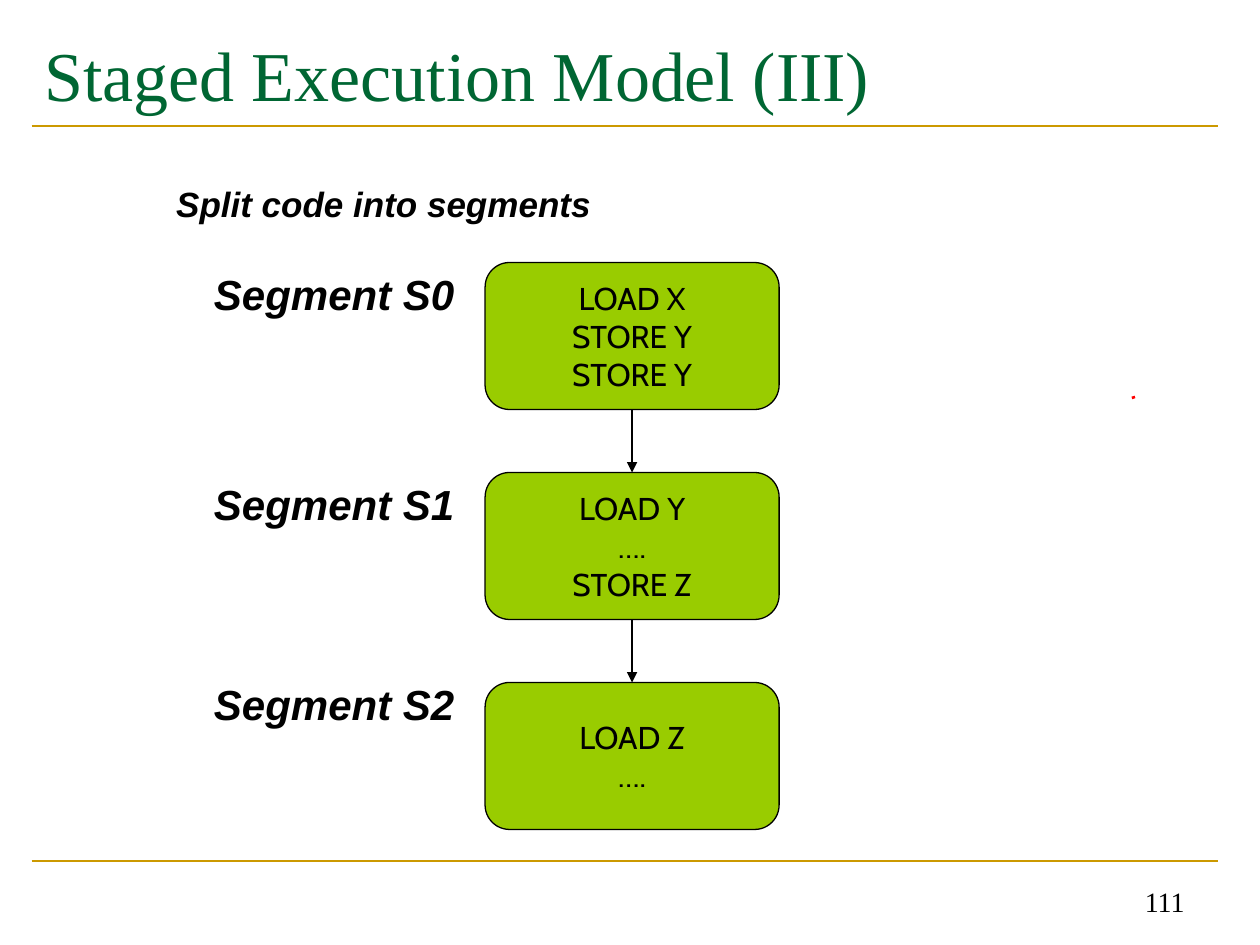
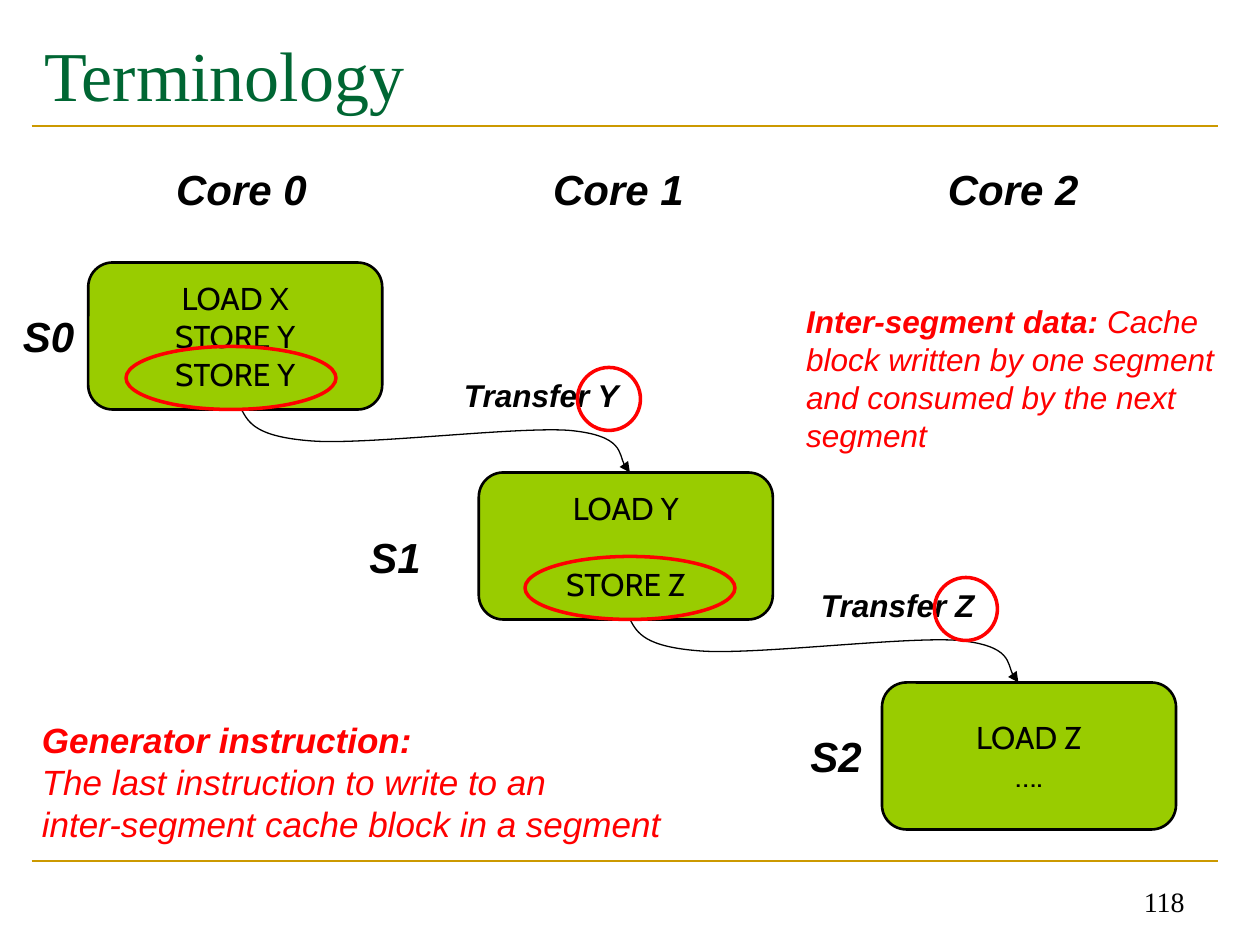
import dataclasses

import lxml.etree
import pptx
import pptx.dml.color
import pptx.enum.shapes
import pptx.enum.text
import pptx.oxml.ns
import pptx.util

ALIGN = pptx.enum.text.PP_ALIGN
ANCHOR = pptx.enum.text.MSO_ANCHOR
SHAPE = pptx.enum.shapes.MSO_SHAPE
qn = pptx.oxml.ns.qn


@dataclasses.dataclass(frozen=True)
class Theme:
    # Colours
    title: str = "006633"
    rule: str = "CC9900"
    segment: str = "99CC00"
    ink: str = "000000"
    accent: str = "FF0000"
    # Fonts
    serif: str = "Times New Roman"
    sans: str = "Arial"
    code: str = "Cabin"
    # Type sizes in points
    title_size: int = 40
    label_size: int = 24
    lead_size: int = 20
    body_size: int = 18
    number_size: int = 16
    # Line widths in points
    thin: float = 0.75
    medium: float = 1.5
    ring: float = 2


def px(length):
    """120 px to the inch."""
    return pptx.util.Emu(length * 7620)


def rgb(colour):
    return pptx.dml.color.RGBColor.from_string(colour)


class Deck:
    def __init__(self, theme):
        self.theme = theme
        self.file = pptx.Presentation()
        self.file.slide_width, self.file.slide_height = px(1200), px(900)
        self.slide = None

    def add_slide(self, title, number):
        """Start a slide with its title, the two rules and the number."""
        theme = self.theme
        self.slide = self.file.slides.add_slide(self.file.slide_layouts[5])
        heading = self.slide.shapes.title
        heading.left, heading.top, heading.width, heading.height = map(px, (30, 20, 1130, 100))
        heading.text_frame.auto_size = pptx.enum.text.MSO_AUTO_SIZE.NONE
        heading.text_frame.vertical_anchor = ANCHOR.MIDDLE
        self.fill_text(heading.text_frame, [title], theme.serif, theme.title_size, theme.title)
        for y in (820, 120):
            rule = self.line((30, y), (1160, y))
            self.stroke(rule, theme.rule, theme.medium)
        self.text(number, (860, 820, 280, 60), theme.number_size, font=theme.serif,
                  strong=False, align=ALIGN.RIGHT, anchor=ANCHOR.BOTTOM)

    def fill_text(self, frame, paragraphs, font, size, colour, align=ALIGN.LEFT,
                  bold=False, italic=False):
        """Fill a frame; a paragraph is a string or a list of (text, bold) runs."""
        for index, content in enumerate(paragraphs):
            paragraph = frame.paragraphs[0] if index == 0 else frame.add_paragraph()
            paragraph.alignment = align
            style = paragraph.font
            style.name, style.size, style.italic = font, pptx.util.Pt(size), italic
            style.color.rgb = rgb(colour)
            if isinstance(content, str):
                style.bold = bold
                paragraph.add_run().text = content
                continue
            for words, is_bold in content:
                run = paragraph.add_run()
                run.text, run.font.bold = words, is_bold

    def text(self, content, box, size, colour=None, font=None, strong=True,
             align=ALIGN.LEFT, anchor=ANCHOR.TOP):
        """Add a wrapping text box; strong means bold italic."""
        frame = self.slide.shapes.add_textbox(*map(px, box)).text_frame
        frame.word_wrap = True
        frame.vertical_anchor = anchor
        self.fill_text(frame, [content] if isinstance(content, str) else content,
                       font or self.theme.sans, size, colour or self.theme.ink,
                       align, strong, strong)

    def stroke(self, item, colour, width, arrow=False):
        item.line.color.rgb = rgb(colour)
        item.line.width = pptx.util.Pt(width)
        if arrow:
            outline = item._element.spPr.find(qn("a:ln"))
            lxml.etree.SubElement(outline, qn("a:tailEnd"), type="triangle")

    def line(self, start, end):
        connector = self.slide.shapes.add_connector(
            pptx.enum.shapes.MSO_CONNECTOR.STRAIGHT, *map(px, start + end))
        lxml.etree.SubElement(connector._element.spPr, qn("a:effectLst"))
        return connector

    def segment(self, code, left, top, border):
        """Add a rounded box holding the instructions of one segment."""
        theme = self.theme
        box = self.slide.shapes.add_shape(
            SHAPE.ROUNDED_RECTANGLE, *map(px, (left, top, 280, 140)))
        box.shadow.inherit = False
        box.fill.solid()
        box.fill.fore_color.rgb = rgb(theme.segment)
        self.stroke(box, theme.ink, border)
        box.text_frame.word_wrap = False
        box.text_frame.vertical_anchor = ANCHOR.MIDDLE
        self.fill_text(box.text_frame, code, theme.code, theme.body_size, theme.ink,
                       ALIGN.CENTER)
        return box

    def arrow(self, above, below):
        """Join the bottom of one box to the top of the next."""
        connector = self.line((0, 0), (0, 0))
        connector.begin_connect(above, 2)
        connector.end_connect(below, 0)
        self.stroke(connector, self.theme.ink, self.theme.thin, arrow=True)

    def ring(self, left, top, width):
        ellipse = self.slide.shapes.add_shape(SHAPE.OVAL, *map(px, (left, top, width, 60)))
        ellipse.shadow.inherit = False
        ellipse.fill.background()
        self.stroke(ellipse, self.theme.accent, self.theme.ring)

    def curve(self, start, offsets, colour, width, arrow=False):
        """Draw cubic curves; offsets from start come in threes."""
        x, y = start
        builder = self.slide.shapes.build_freeform(x, y, scale=px(1))
        builder.add_line_segments([(x + dx, y + dy) for dx, dy in offsets], close=False)
        curve = builder.convert_to_shape()
        curve.shadow.inherit = False
        curve.fill.background()
        self.stroke(curve, colour, width, arrow)
        steps = list(curve._element.iter(qn("a:lnTo")))
        for first in range(0, len(steps), 3):
            bend = steps[first:first + 3]
            cubic = lxml.etree.Element(qn("a:cubicBezTo"))
            bend[0].addprevious(cubic)
            for step in bend:
                cubic.append(step[0])
                step.getparent().remove(step)


SEGMENTS = [
    ["LOAD X", "STORE Y", "STORE Y"],
    ["LOAD Y", "….", "STORE Z"],
    ["LOAD Z", "…."],
]
FIRST_TOP, STEP = 250, 200
TRANSFER_CURVE = [(7, 13), (14, 26), (67, 30), (119, 34), (263, 16), (313, 20),
                  (364, 25), (360, 53), (370, 60)]


def staged_execution(deck):
    theme = deck.theme
    deck.add_slide("Staged Execution Model (III)", "111")

    # Segments in a column
    stages = [deck.segment(code, 462, FIRST_TOP + STEP * i, theme.thin)
              for i, code in enumerate(SEGMENTS)]
    for i, top in enumerate((250, 450, 640)):
        deck.text(f"Segment S{i}", (192, top, 300, 60), theme.label_size)
    for above, below in zip(stages, stages[1:]):
        deck.arrow(above, below)

    # Lead line and pen mark
    deck.text("Split code into segments", (156, 168, 972, 52), theme.lead_size)
    deck.curve((1081, 378), [(-1, 1), (-2, 1), (-3, 1)], theme.accent, theme.medium)


def terminology(deck):
    theme = deck.theme
    deck.add_slide("Terminology", "118")

    # One segment on each core
    for i, (code, left) in enumerate(zip(SEGMENTS, (84, 456, 840))):
        deck.segment(code, left, FIRST_TOP + STEP * i, theme.medium)
    for i, (left, top) in enumerate(((10, 290), (340, 500), (760, 690))):
        deck.text(f"S{i}", (left, top, 80, 60), theme.label_size)
    for i, (left, width) in enumerate(((150, 160), (510, 158), (890, 150))):
        deck.text(f"Core {i}", (left, 150, width, 61), theme.label_size, align=ALIGN.CENTER)

    # Transfers between cores
    transfers = (("Y", 230, 430, 550, 120), ("Z", 600, 770, 890, 500))
    for i, (value, curve_x, label_x, value_x, store_x) in enumerate(transfers):
        drop = STEP * i
        deck.curve((curve_x, 390 + drop), TRANSFER_CURVE, theme.ink, theme.thin, arrow=True)
        deck.text(f"Transfer {value}", (label_x, 352 + drop, 220, 48), theme.body_size)
        deck.ring(value_x, 350 + drop, 60)
        deck.ring(store_x, 330 + drop, 200)

    # Definitions
    deck.text([[("Inter-segment data:", True),
                (" Cache block written by one segment and consumed by the next segment", False)]],
              (756, 282, 416, 156), theme.body_size, theme.accent)
    deck.text([[("Generator instruction:", True)],
               [("The last instruction to write to an", False)],
               [("inter-segment cache block in a segment", False)]],
              (28, 678, 642, 133), theme.lead_size, theme.accent)


def main():
    deck = Deck(Theme())
    staged_execution(deck)
    terminology(deck)
    deck.file.save("out.pptx")


if __name__ == "__main__":
    main()
